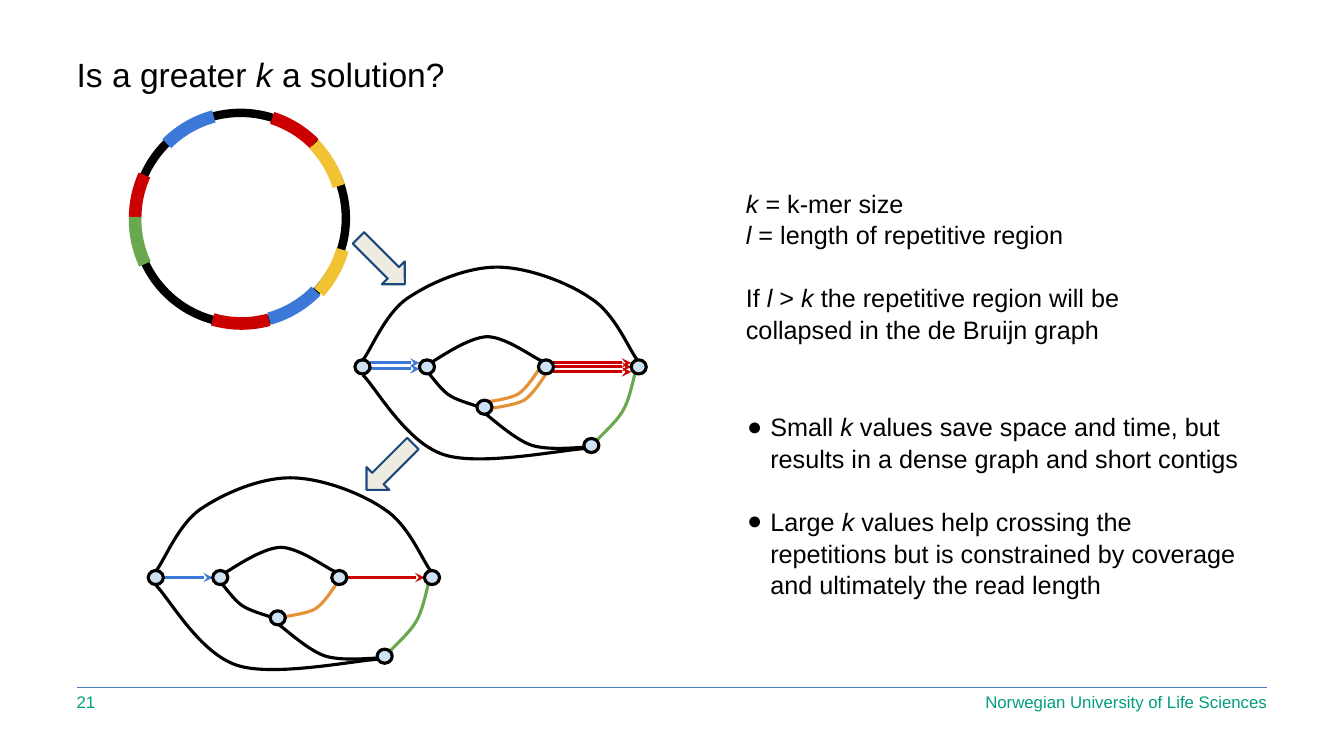
from dataclasses import dataclass

from lxml import etree
from pptx import Presentation, util as u
from pptx.dml.color import RGBColor
from pptx.enum import shapes, text
from pptx.oxml import ns


@dataclass(frozen=True)
class Theme:
    font: str = "Arial"
    title: int = 24
    body: int = 18
    foot: int = 12
    black: str = "000000"
    teal: str = "009D7F"
    rule: str = "4A7EBB"
    red: str = "CC0000"
    green: str = "6AA84F"
    blue: str = "3C78D8"
    yellow: str = "F1C232"
    orange: str = "E69138"
    node: str = "CFE2F3"
    sand: str = "EEECE1"
    navy: str = "1F497D"
    ring: float = 6
    band: float = 9
    edge: float = 2.25
    thin: float = 1.5
    hair: float = 0.75


THEME = Theme()
KIND = shapes.MSO_SHAPE

ARCS = [
    (1.34, 1.12, 2.09, 180, 204.21, THEME.red),
    (1.34, 1.15, 2.06, 154.79, 181.5, THEME.green),
    (1.35, 1.12, 2.08, 225, 255, THEME.blue),
    (1.34, 1.12, 2.08, 287.9, 315, THEME.red),
    (1.38, 1.18, 2.03, 74.37, 106.32, THEME.red),
    (1.35, 1.12, 2.08, 44.4, 74.4, THEME.blue),
    (1.27, 1.1, 2.14, 316.4, 342.4, THEME.yellow),
    (1.3, 1.11, 2.14, 16.2, 42.2, THEME.yellow),
]

CURVES = [
    ([(4.27, 3.6), (4.36, 3.55), (4.64, 3.35), (4.83, 3.34),
      (5.01, 3.34), (5.28, 3.54), (5.37, 3.58)], THEME.black),
    ([(4.24, 3.69), (4.28, 3.73), (4.36, 3.85), (4.44, 3.91),
      (4.52, 3.97), (4.68, 4.01), (4.73, 4.03)], THEME.black),
    ([(6.32, 3.57), (6.24, 3.47), (6.1, 3.11), (5.86, 2.96),
      (5.63, 2.8), (5.23, 2.65), (4.93, 2.65), (4.62, 2.65),
      (4.26, 2.81), (4.04, 2.96), (3.82, 3.11), (3.68, 3.47),
      (3.6, 3.57)], THEME.black),
    ([(6.3, 3.7), (6.28, 3.77), (6.24, 3.98), (6.17, 4.09),
      (6.1, 4.2), (5.94, 4.34), (5.9, 4.39)], THEME.green),
    ([(5.79, 4.44), (5.71, 4.44), (5.45, 4.47), (5.28, 4.42),
      (5.12, 4.37), (4.9, 4.17), (4.82, 4.11)], THEME.black),
    ([(5.81, 4.45), (5.58, 4.46), (4.76, 4.63), (4.4, 4.51),
      (4.03, 4.39), (3.73, 3.85), (3.6, 3.72)], THEME.black),
]
BRANCH = [(4.82, 3.99), (4.87, 3.98), (5.05, 3.96), (5.14, 3.91),
          (5.23, 3.85), (5.32, 3.7), (5.35, 3.66)]
NODES = [(3.52, 3.57), (4.16, 3.57), (5.34, 3.57), (6.26, 3.57),
         (4.73, 3.97), (5.79, 4.35)]


def color(code):
    return RGBColor.from_string(code)


def child(parent, tag, **attrs):
    return etree.SubElement(parent, ns.qn(tag), attrs)


def place(item, left, top, width, height):
    item.left, item.top = u.Inches(left), u.Inches(top)
    item.width, item.height = u.Inches(width), u.Inches(height)
    return item


def write(box, lines, size=THEME.body, ink=THEME.black, align=text.PP_ALIGN.LEFT,
          anchor=text.MSO_ANCHOR.MIDDLE, inset=(0, 0), gaps=(0,), space=1.0, dot=None):
    frame = box.text_frame
    frame.word_wrap = True
    frame.auto_size = text.MSO_AUTO_SIZE.NONE
    frame.vertical_anchor = anchor
    frame.margin_left = frame.margin_right = u.Inches(inset[0])
    frame.margin_top = frame.margin_bottom = u.Inches(inset[1])
    for n, (line, gap) in enumerate(zip(lines, gaps)):
        para = frame.paragraphs[0] if n == 0 else frame.add_paragraph()
        if dot:
            props = para._p.get_or_add_pPr()
            props.set("marL", str(u.Inches(0.24)))
            props.set("indent", str(u.Inches(-0.23)))
            child(child(props, "a:buClr"), "a:srgbClr", val=ink)
            child(props, "a:buChar", char=dot)
        para.alignment = align
        para.line_spacing = space
        para.space_before = u.Pt(gap)
        for part, words in enumerate(line.split("*")):
            if words:
                run = para.add_run()
                run.text = words
                run.font.name = THEME.font
                run.font.size = u.Pt(size)
                run.font.color.rgb = color(ink)
                run.font.italic = part % 2 == 1


def label(slide, area, lines, **style):
    box = slide.shapes.add_textbox(*map(u.Inches, area))
    write(box, lines, **style)


def paint(item, ink, width, fill=None):
    item.shadow.inherit = False
    item.line.color.rgb = color(ink)
    item.line.width = u.Pt(width)
    if fill:
        item.fill.solid()
        item.fill.fore_color.rgb = color(fill)
    else:
        item.fill.background()


def figure(slide, kind, area, ink, width, fill=None):
    item = slide.shapes.add_shape(kind, *map(u.Inches, area))
    paint(item, ink, width, fill)
    return item


def line(slide, start, end, ink, width, head=False):
    item = slide.shapes.add_connector(
        shapes.MSO_CONNECTOR.STRAIGHT, *map(u.Inches, (*start, *end)))
    item.line.color.rgb = color(ink)
    item.line.width = u.Pt(width)
    if head:
        child(item.line._get_or_add_ln(), "a:tailEnd", type="stealth")
    child(item._element.spPr, "a:effectLst")


def curve(slide, points, ink, dx, dy):
    spots = [(u.Inches(x + dx), u.Inches(y + dy)) for x, y in points]
    build = slide.shapes.build_freeform(*spots[0])
    build.add_line_segments(spots[1:], close=False)
    item = build.convert_to_shape()
    track = next(item._element.iter(ns.qn("a:path")))
    steps = track.findall(ns.qn("a:lnTo"))
    for n in range(0, len(steps), 3):
        bend = child(track, "a:cubicBezTo")
        for step in steps[n:n + 3]:
            bend.append(step[0])
            track.remove(step)
    paint(item, ink, THEME.edge)


def genome(slide):
    figure(slide, KIND.OVAL, (1.34, 1.12, 2.09, 2.09), THEME.black, THEME.ring)
    for left, top, size, start, end, ink in ARCS:
        arc = figure(slide, KIND.ARC, (left, top, size, size), ink, THEME.band)
        arc.adjustments[0] = start * 0.6
        arc.adjustments[1] = end * 0.6


def graph(slide, dx, dy, blues, reds, shifts):
    for left, right, rows, ink in ((3.67, 4.16, blues, THEME.blue),
                                   (5.48, 6.26, reds, THEME.red)):
        for y in rows:
            line(slide, (left + dx, y + dy), (right + dx, y + dy), ink, THEME.edge, True)
    for shift in shifts:
        curve(slide, BRANCH, THEME.orange, dx + shift, dy + shift)
    for points, ink in CURVES:
        curve(slide, points, ink, dx, dy)
    for x, y in NODES:
        figure(slide, KIND.OVAL, (x + dx, y + dy, 0.15, 0.14),
               THEME.black, THEME.edge, THEME.node)


def arrow(slide, left, top, turn):
    item = figure(slide, KIND.RIGHT_ARROW, (left, top, 0.65, 0.32),
                  THEME.navy, THEME.thin, THEME.sand)
    item.rotation = turn


def main():
    deck = Presentation()
    deck.slide_width, deck.slide_height = u.Inches(13.33), u.Inches(7.5)
    slide = deck.slides.add_slide(deck.slide_layouts[1])
    prose = dict(anchor=text.MSO_ANCHOR.TOP, inset=(0.1, 0.05), space=1.05)
    foot = dict(size=THEME.foot, ink=THEME.teal)

    line(slide, (0.76, 6.82), (12.57, 6.82), THEME.rule, THEME.hair)
    title = place(slide.shapes.title, 0.76, 0.44, 10.48, 0.58)
    write(title, ["Is a greater *k* a solution?"], size=THEME.title)
    label(slide, (8.07, 6.85, 4.5, 0.22), ["Norwegian University of Life Sciences"],
          align=text.PP_ALIGN.RIGHT, **foot)
    label(slide, (0.76, 6.85, 3, 0.22), ["21"], **foot)
    label(slide, (7.3, 1.8, 4.9, 1.48), [
        "*k* = k-mer size",
        "*l* = length of repetitive region",
        "If *l* > *k* the repetitive region will be collapsed in the de Bruijn graph",
    ], gaps=(0, 0, 22), **prose)
    body = place(slide.placeholders[1], 7.3, 4.02, 5.2, 1.48)
    write(body, [
        "Small *k* values save space and time, but results in a dense graph and short contigs",
        "Large *k* values help crossing the repetitions but is constrained by coverage "
        "and ultimately the read length",
    ], gaps=(0, 22), dot="●", **prose)

    genome(slide)
    arrow(slide, 3.46, 2.43, 45)
    graph(slide, 0, 0, (3.6, 3.66), (3.6, 3.64, 3.69), (0, 0.06))
    arrow(slide, 3.54, 4.47, 135)
    graph(slide, -2.05, 2.09, (3.64,), (3.64,), (0.04,))
    deck.save("out.pptx")


if __name__ == "__main__":
    main()
